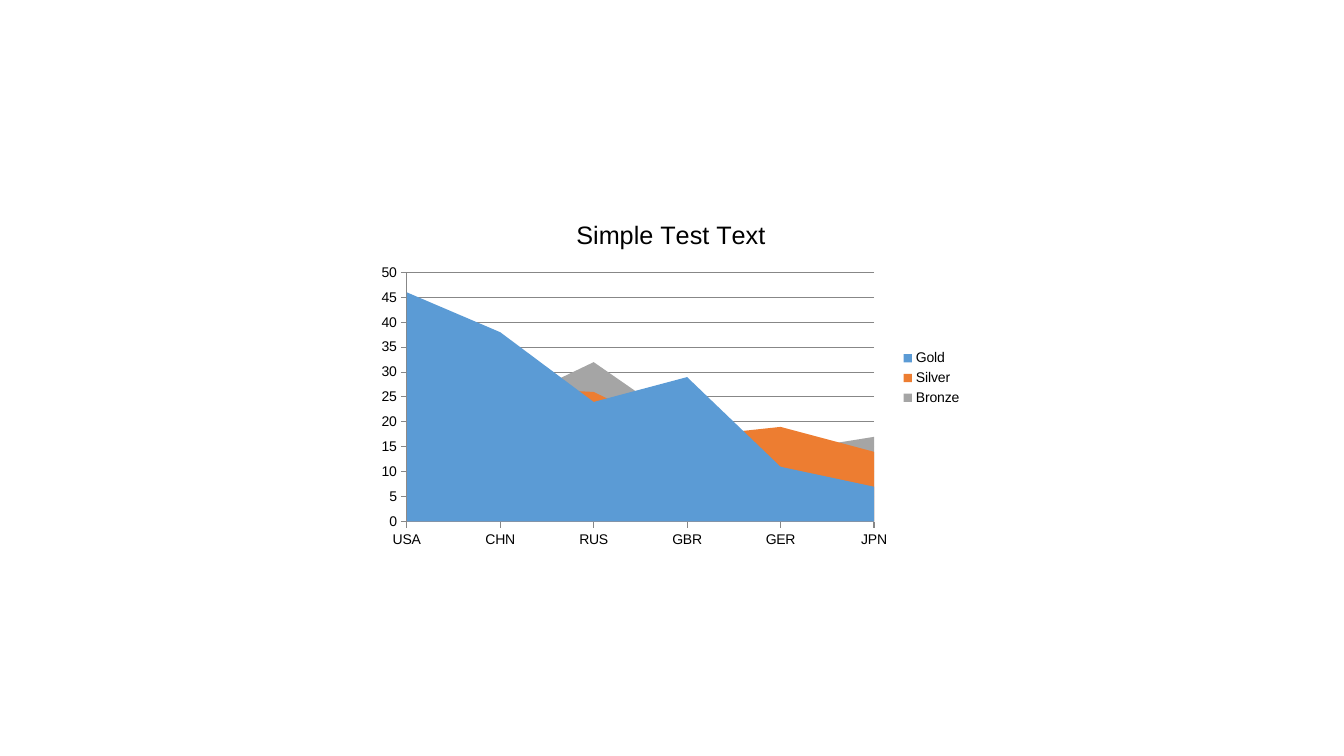
from pptx import Presentation
from pptx.chart.data import CategoryChartData
from pptx.dml.color import RGBColor
from pptx.enum.chart import XL_CHART_TYPE, XL_LEGEND_POSITION, XL_TICK_MARK
from pptx.util import Pt

COUNTRIES = ["USA", "CHN", "RUS", "GBR", "GER", "JPN"]
MEDALS = {
    "Gold": ("5B9BD5", [46, 38, 24, 29, 11, 7]),
    "Silver": ("ED7D31", [29, 27, 26, 17, 19, 14]),
    "Bronze": ("A5A5A5", [29, 23, 32, 19, 14, 17]),
}


def color(hex_code):
    return RGBColor.from_string(hex_code)


def apply(target, formats):
    for attribute, value in formats.items():
        setattr(target, attribute, value)


class SlideBuilder:
    font_name = "Arial"
    text_color = "000000"
    line_color = "878787"

    def __init__(self, slide):
        self.slide = slide

    def style_font(self, font, size):
        apply(font, {"name": self.font_name, "size": Pt(size), "bold": False})
        font.color.rgb = color(self.text_color)

    def style_line(self, line):
        line.color.rgb = color(self.line_color)
        line.width = Pt(0.75)

    def style_axis(self, axis, formats):
        apply(axis, {"major_tick_mark": XL_TICK_MARK.OUTSIDE,
                     "minor_tick_mark": XL_TICK_MARK.NONE, **formats})
        self.style_line(axis.format.line)

    def area_chart(self, heading, categories, areas, left, top, width, height):
        medal_counts = CategoryChartData()
        medal_counts.categories = categories
        for name, (_, counts) in areas.items():
            medal_counts.add_series(name, counts)
        chart = self.slide.shapes.add_chart(
            XL_CHART_TYPE.AREA, Pt(left), Pt(top), Pt(width), Pt(height), medal_counts).chart
        self.style_font(chart.font, 10)

        chart.has_title = True
        chart.chart_title.include_in_layout = False
        heading_frame = chart.chart_title.text_frame
        heading_frame.text = heading
        self.style_font(heading_frame.paragraphs[0].runs[0].font, 18)

        chart.has_legend = True
        apply(chart.legend, {"position": XL_LEGEND_POSITION.RIGHT, "include_in_layout": False})

        self.style_axis(chart.category_axis, {"has_major_gridlines": False})
        self.style_axis(chart.value_axis, {
            "has_major_gridlines": True, "minimum_scale": 0, "maximum_scale": 50, "major_unit": 5})
        self.style_line(chart.value_axis.major_gridlines.format.line)

        plot = chart.plots[0]
        plot.vary_by_categories = False
        for medal, (fill_color, _) in zip(plot.series, areas.values()):
            medal.format.fill.solid()
            medal.format.fill.fore_color.rgb = color(fill_color)
            medal.format.line.fill.background()


def main():
    presentation = Presentation()
    apply(presentation, {"slide_width": Pt(960), "slide_height": Pt(540)})
    builder = SlideBuilder(presentation.slides.add_slide(presentation.slide_layouts[6]))
    builder.area_chart("Simple Test Text", COUNTRIES, MEDALS, 264, 144, 430.5, 252)
    presentation.save("out.pptx")


if __name__ == "__main__":
    main()
